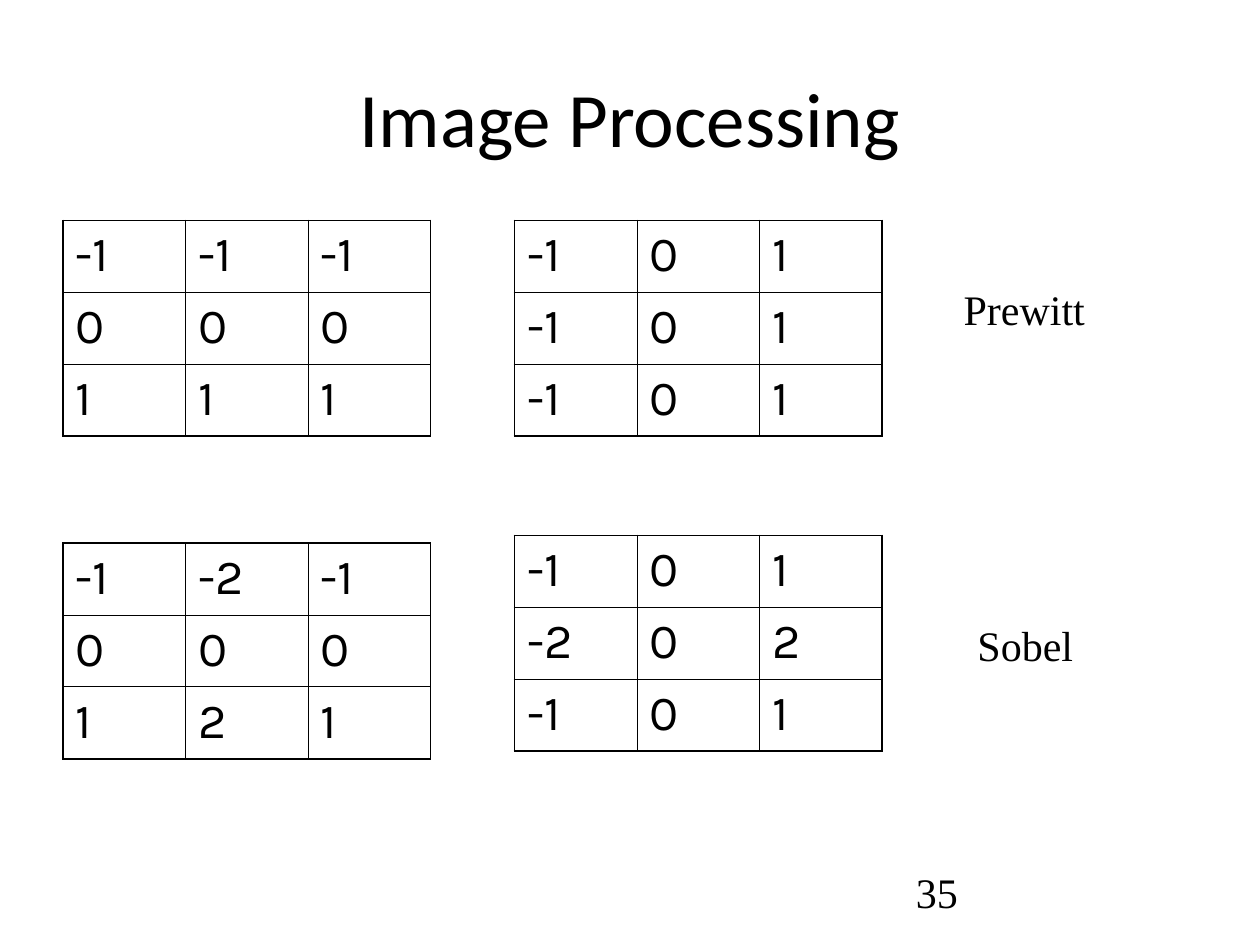
"""Build a slide showing the Prewitt and Sobel edge detection kernels."""
from lxml import etree
from pptx import Presentation
from pptx.dml.color import RGBColor
from pptx.enum.text import MSO_ANCHOR, MSO_AUTO_SIZE, PP_ALIGN
from pptx.oxml.ns import qn
from pptx.util import Pt

LEFT, CENTER = PP_ALIGN.LEFT, PP_ALIGN.CENTER
TOP, MIDDLE = MSO_ANCHOR.TOP, MSO_ANCHOR.MIDDLE
FIT_TEXT = MSO_AUTO_SIZE.SHAPE_TO_FIT_TEXT
BLACK = RGBColor(0, 0, 0)

TITLE = ("Image Processing", (36, 21.6, 648, 90))
PAGE_NUMBER = ("35", (516.24, 491.76, 167.76, 37.44))
OPERATOR_LABELS = [
    ("Prewitt", (543.6, 158.4, 83.52, 36)),
    ("Sobel", (551.52, 350.64, 69.12, 36)),
]
KERNELS = [
    ((36, 126), [(-1, -1, -1), (0, 0, 0), (1, 1, 1)]),
    ((294, 126), [(-1, 0, 1), (-1, 0, 1), (-1, 0, 1)]),
    ((36, 310.3), [(-1, -2, -1), (0, 0, 0), (1, 2, 1)]),
    ((294, 306), [(-1, 0, 1), (-2, 0, 2), (-1, 0, 1)]),
]
COLUMN_WIDTH, ROW_HEIGHT = 70, 41.1
OUTER_LINE, INNER_LINE = 1.08, 0.45


def write(paragraph, wording, font, size):
    run = paragraph.add_run()
    run.text = wording
    run.font.name = font
    run.font.size = Pt(size)
    run.font.color.rgb = BLACK


def add_text(slide, wording, bounds, font="Times New Roman", size=24,
             align=LEFT, anchor=TOP, wrap=True):
    frame = slide.shapes.add_textbox(*map(Pt, bounds)).text_frame
    frame.word_wrap = wrap
    frame.vertical_anchor = anchor
    if not wrap:
        frame.auto_size = FIT_TEXT
    frame.paragraphs[0].alignment = align
    write(frame.paragraphs[0], wording, font, size)


def add_border(cell, side, width):
    properties = cell._tc.get_or_add_tcPr()
    line = etree.SubElement(properties, qn(f"a:ln{side}"), w=str(Pt(width)))
    fill = etree.SubElement(line, qn("a:solidFill"))
    etree.SubElement(fill, qn("a:srgbClr"), val=str(BLACK))


def add_kernel(slide, position, weights):
    count = len(weights)
    last = count - 1
    bounds = (*position, count * COLUMN_WIDTH, count * ROW_HEIGHT)
    table = slide.shapes.add_table(count, count, *map(Pt, bounds)).table
    table.first_row = table.horz_banding = False
    for column in table.columns:
        column.width = Pt(COLUMN_WIDTH)
    for r, row in enumerate(weights):
        table.rows[r].height = Pt(ROW_HEIGHT)
        for c, weight in enumerate(row):
            cell = table.cell(r, c)
            outer_sides = {"L": c == 0, "R": c == last, "T": r == 0, "B": r == last}
            for side, is_outer in outer_sides.items():
                add_border(cell, side, OUTER_LINE if is_outer else INNER_LINE)
            cell.fill.background()
            write(cell.text_frame.paragraphs[0], str(weight), "Karla", 28)


def main():
    deck = Presentation()
    deck.slide_width, deck.slide_height = Pt(720), Pt(540)
    slide = deck.slides.add_slide(deck.slide_layouts[6])
    add_text(slide, *PAGE_NUMBER)
    add_text(slide, *TITLE, font="Calibri", size=44, align=CENTER, anchor=MIDDLE)
    for position, weights in KERNELS:
        add_kernel(slide, position, weights)
    for wording, bounds in OPERATOR_LABELS:
        add_text(slide, wording, bounds, wrap=False)
    deck.save("out.pptx")


if __name__ == "__main__":
    main()
